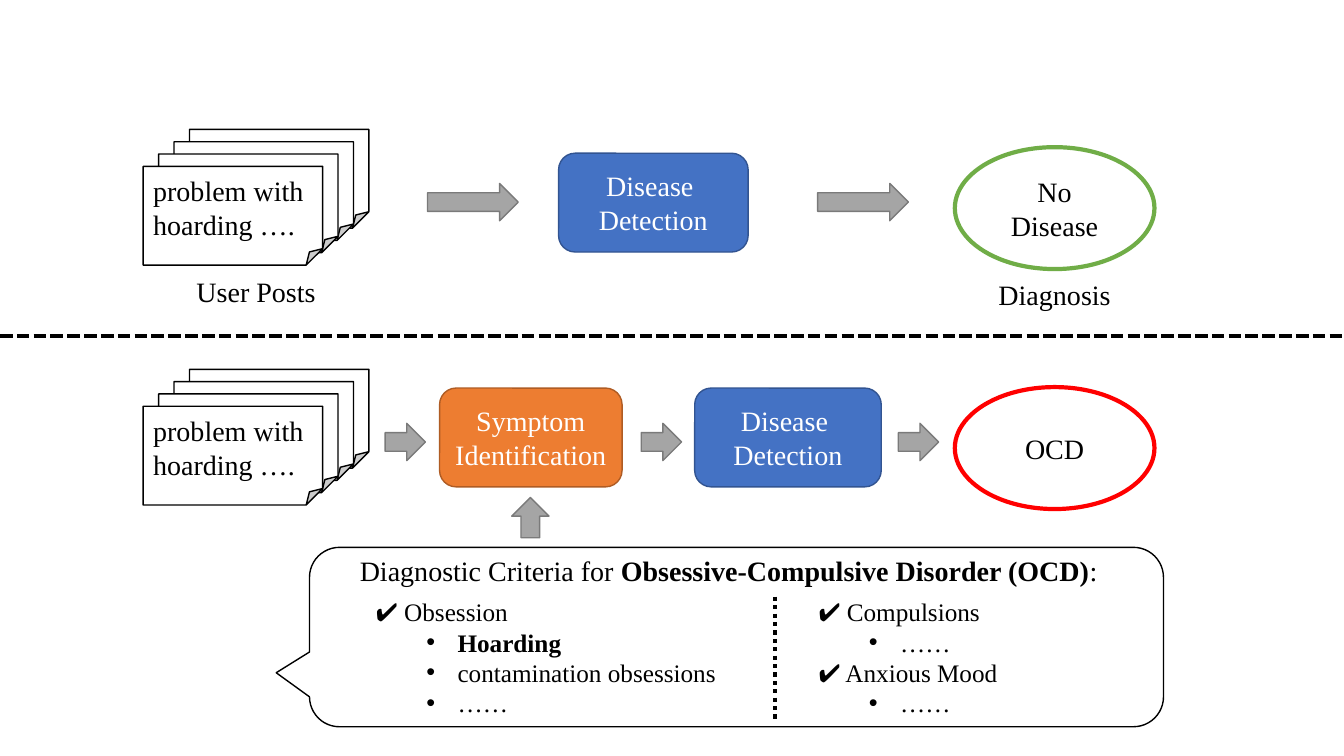
from lxml import etree
from pptx import Presentation
from pptx.dml.color import RGBColor
from pptx.enum.dml import MSO_LINE
from pptx.enum.shapes import MSO_CONNECTOR, MSO_SHAPE
from pptx.enum.text import MSO_ANCHOR, PP_ALIGN
from pptx.oxml.ns import qn
from pptx.util import Inches, Pt

LEFT, CENTER, MIDDLE = PP_ALIGN.LEFT, PP_ALIGN.CENTER, MSO_ANCHOR.MIDDLE
ARROW, PAGE = MSO_SHAPE.RIGHT_ARROW, MSO_SHAPE.FOLDED_CORNER
ROUND, OVAL = MSO_SHAPE.ROUNDED_RECTANGLE, MSO_SHAPE.OVAL
CALLOUT, STRAIGHT = MSO_SHAPE.ROUNDED_RECTANGULAR_CALLOUT, MSO_CONNECTOR.STRAIGHT
DASH, DOT = MSO_LINE.SQUARE_DOT, MSO_LINE.ROUND_DOT

BLACK, WHITE = RGBColor(0, 0, 0), RGBColor(255, 255, 255)
BLUE, NAVY = RGBColor(0x44, 0x72, 0xC4), RGBColor(0x32, 0x54, 0x91)
ORANGE, BROWN = RGBColor(0xED, 0x7D, 0x31), RGBColor(0xAF, 0x5C, 0x24)
GRAY, DARK = RGBColor(0xA5, 0xA5, 0xA5), RGBColor(0x7A, 0x7A, 0x7A)
GREEN, RED = RGBColor(0x70, 0xAD, 0x47), RGBColor(255, 0, 0)
FONT = "Times New Roman"
BOX_H = 0.98


def style(font, **extra):
    for name, value in {"name": FONT, "size": Pt(20), **extra}.items():
        setattr(font, name, value)
    font.color.rgb = extra_color(font)


def extra_color(font):
    return font.color.rgb if font.color.type else BLACK


def write(frame, lines, color=BLACK, align=CENTER):
    frame.word_wrap = True
    for i, line in enumerate(lines):
        para = frame.paragraphs[0] if i == 0 else frame.add_paragraph()
        para.alignment = align
        run = para.add_run()
        run.text = line
        run.font.color.rgb = color
        style(run.font)


def draw(slide, kind, box, fill, edge, width=1):
    shape = slide.shapes.add_shape(kind, *map(Inches, box))
    shape.shadow.inherit = False
    shape.fill.solid()
    shape.fill.fore_color.rgb = fill
    shape.line.color.rgb = edge
    shape.line.width = Pt(width)
    return shape


def label(slide, box, lines, align=CENTER):
    frame = slide.shapes.add_textbox(*map(Inches, box)).text_frame
    write(frame, lines, align=align)
    return frame


def rule(slide, ends, dash):
    line = slide.shapes.add_connector(STRAIGHT, *map(Inches, ends))
    line.line.color.rgb = BLACK
    line.line.width = Pt(3)
    line.line.dash_style = dash
    etree.SubElement(line._element.spPr, qn("a:effectLst"))


def posts(slide, left, top):
    """Stack four pages, the front one lowest and leftmost."""
    for step in (3, 2, 1, 0):
        box = (left + step * 0.153, top - step * 0.122, 1.78, BOX_H)
        page = draw(slide, PAGE, box, WHITE, BLACK)
    page.text_frame.vertical_anchor = MIDDLE
    write(page.text_frame, ["problem with hoarding …."], align=LEFT)


def stage(slide, left, top, width, lines, fill, edge):
    shape = draw(slide, ROUND, (left, top, width, BOX_H), fill, edge)
    frame = shape.text_frame
    frame.margin_left = frame.margin_right = Inches(0.05)
    frame.vertical_anchor = MIDDLE
    write(frame, lines, WHITE)


def result(slide, top, text, color):
    oval = draw(slide, OVAL, (9.47, top, 1.98, 1.21), WHITE, color, 3)
    oval.text_frame.vertical_anchor = MIDDLE
    write(oval.text_frame, [text])


def arrow(slide, left, top, width=0.4, turn=0):
    shape = draw(slide, ARROW, (left, top, width, 0.37), GRAY, DARK)
    shape.rotation = turn


def direct(slide, top):
    """Detect the disease straight from the posts."""
    posts(slide, 1.42, top + 0.36)
    stage(slide, 5.54, top + 0.23, 1.88, ["Disease ", "Detection"], BLUE, NAVY)
    for left in (4.24, 8.11):
        arrow(slide, left, top + 0.53, 0.9)
    result(slide, top + 0.17, "No Disease", GREEN)
    label(slide, (1.72, top + 1.38, 1.64, 0.44), ["User Posts"])
    label(slide, (9.64, top + 1.41, 1.64, 0.44), ["Diagnosis"])


def guided(slide, top):
    """Identify symptoms before detecting the disease."""
    posts(slide, 1.42, top + 0.37)
    stage(slide, 4.36, top + 0.19, 1.81, ["Symptom", "Identification"], ORANGE, BROWN)
    stage(slide, 6.89, top + 0.19, 1.85, ["Disease ", "Detection"], BLUE, NAVY)
    for left in (3.82, 6.36, 8.91):
        arrow(slide, left, top + 0.54)
    arrow(slide, 5.06, top + 1.29, turn=270)
    result(slide, top + 0.18, "OCD", RED)


def checks(slide, box, items):
    """List (level, text, bold) items, with bullets on level 1."""
    frame = slide.shapes.add_textbox(*map(Inches, box)).text_frame
    frame.word_wrap = True
    for i, (level, text, bold) in enumerate(items):
        para = frame.paragraphs[0] if i == 0 else frame.add_paragraph()
        para.level = level
        if level:
            props = para._p.get_or_add_pPr()
            props.set("marL", str(Inches(0.81)))
            props.set("indent", str(Inches(-0.31)))
            etree.SubElement(props, qn("a:buFont"), typeface="Arial")
            etree.SubElement(props, qn("a:buChar"), char="•")
        run = para.add_run()
        run.text = text
        style(run.font, size=Pt(18), bold=bold)


def criteria(slide, left, top, width, height):
    bubble = draw(slide, CALLOUT, (left, top, width, height), WHITE, BLACK)
    for i, value in enumerate((-0.539, 0.199, 0.167)):
        bubble.adjustments[i] = value
    head = label(slide, (left + 0.4, top + 0.01, width - 0.4, 0.44),
                 ["Diagnostic Criteria for "], LEFT).paragraphs[0]
    for text, bold in (("Obsessive-Compulsive Disorder (OCD)", True), (":", False)):
        run = head.add_run()
        run.text = text
        style(run.font, bold=bold)
    checks(slide, (left + 0.56, top + 0.44, 3.99, 1.31), [
        (0, "✔️ Obsession", False), (1, "Hoarding", True),
        (1, "contamination obsessions", False), (1, "……", False)])
    checks(slide, (left + 4.95, top + 0.44, 2.98, 1.31), [
        (0, "✔️ Compulsions", False), (1, "……", False),
        (0, "✔️ Anxious Mood", False), (1, "……", False)])
    rule(slide, (left + 4.62, top + 0.49, left + 4.62, top + 1.71), DOT)


def main():
    deck = Presentation()
    deck.slide_width, deck.slide_height = Inches(13.33), Inches(7.5)
    slide = deck.slides.add_slide(deck.slide_layouts[6])
    direct(slide, 1.29)
    rule(slide, (0, 3.33, 13.33, 3.33), DASH)
    guided(slide, 3.66)
    criteria(slide, 3.07, 5.43, 8.47, 1.78)
    deck.save("out.pptx")


if __name__ == "__main__":
    main()
